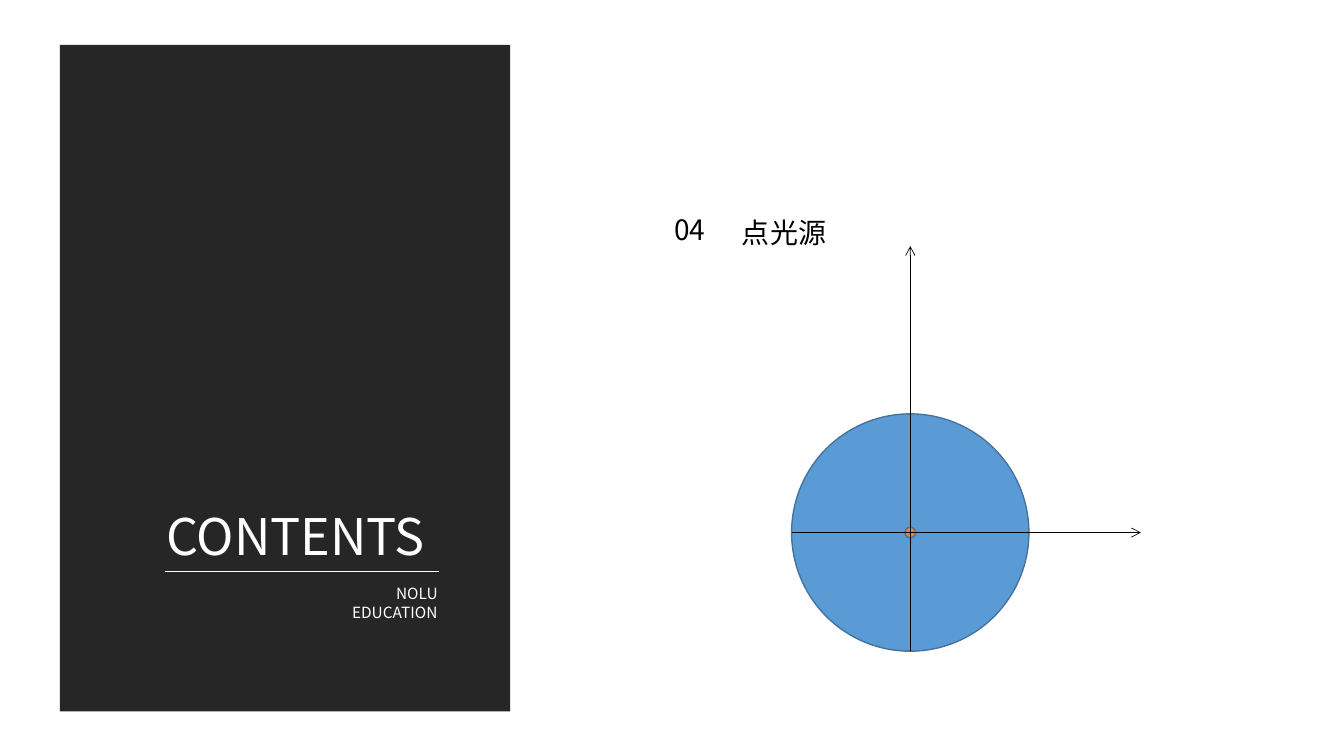
from dataclasses import dataclass

from lxml import etree
from pptx import Presentation
from pptx.dml.color import RGBColor
from pptx.enum.shapes import MSO_CONNECTOR, MSO_SHAPE
from pptx.enum.text import MSO_ANCHOR, PP_ALIGN
from pptx.oxml.ns import qn
from pptx.util import Cm, Pt

STRAIGHT = MSO_CONNECTOR.STRAIGHT
RECTANGLE, OVAL = MSO_SHAPE.RECTANGLE, MSO_SHAPE.OVAL
TOP, MIDDLE = MSO_ANCHOR.TOP, MSO_ANCHOR.MIDDLE
LEFT, RIGHT = PP_ALIGN.LEFT, PP_ALIGN.RIGHT


@dataclass(frozen=True)
class Theme:
    font: str = "Noto Sans CJK SC"
    panel: str = "262626"
    light: str = "FFFFFF"
    dark: str = "000000"
    sphere: str = "5B9BD5"
    source: str = "ED7D31"
    outline: str = "43739E"
    heading: float = 36
    topic: float = 20
    caption: float = 11


class SlideBuilder:
    def __init__(self, page, theme):
        self.page = page
        self.theme = theme

    def shape(self, kind, left, top, width, height, fill, outline=None):
        shape = self.page.shapes.add_shape(kind, Cm(left), Cm(top), Cm(width), Cm(height))
        shape.shadow.inherit = False
        shape.fill.solid()
        shape.fill.fore_color.rgb = RGBColor.from_string(fill)
        if outline:
            shape.line.color.rgb = RGBColor.from_string(outline)
            shape.line.width = Pt(1)
        else:
            shape.line.fill.background()

    def circle(self, center, diameter, fill):
        left, top = (value - diameter / 2 for value in center)
        self.shape(OVAL, left, top, diameter, diameter, fill, self.theme.outline)

    def text(self, words, left, top, width, height, size, color,
             align=LEFT, anchor=TOP, side_inset=0.25, spacing=1.0):
        box = self.page.shapes.add_textbox(Cm(left), Cm(top), Cm(width), Cm(height))
        frame = box.text_frame
        frame.word_wrap = True
        frame.vertical_anchor = anchor
        frame.margin_left = frame.margin_right = Cm(side_inset)
        frame.text = words
        para = frame.paragraphs[0]
        para.alignment = align
        para.line_spacing = spacing
        span = para.runs[0]
        span.font.size = Pt(size)
        span.font.name = self.theme.font
        span.font.color.rgb = RGBColor.from_string(color)
        east_asian = etree.SubElement(span.font._element, qn("a:ea"))
        east_asian.set("typeface", self.theme.font)

    def line(self, start, end, color, width, arrow=False):
        line = self.page.shapes.add_connector(STRAIGHT, *map(Cm, start + end))
        line.line.color.rgb = RGBColor.from_string(color)
        line.line.width = Pt(width)
        if arrow:
            etree.SubElement(line.line._get_or_add_ln(), qn("a:tailEnd")).set("type", "arrow")
        etree.SubElement(line._element.spPr, qn("a:effectLst"))


def main():
    deck = Presentation()
    deck.slide_width, deck.slide_height = Cm(33.87), Cm(19.05)
    theme = Theme()
    builder = SlideBuilder(deck.slides.add_slide(deck.slide_layouts[6]), theme)

    builder.shape(RECTANGLE, 1.51, 1.13, 11.35, 16.8, theme.panel)
    builder.text("CONTENTS", 3.94, 12.6, 7.32, 1.8, theme.heading, theme.light)
    builder.line((4.15, 14.39), (11.06, 14.39), theme.light, 0.75)
    builder.text("NOLU EDUCATION", 8.36, 14.6, 2.92, 1.2, theme.caption, theme.light, RIGHT)

    builder.text("04", 16.74, 5.03, 1.45, 1.6, theme.topic, theme.dark,
                 anchor=MIDDLE, spacing=0.9)
    builder.text("点光源", 18.19, 5.05, 11.07, 1.6, theme.topic, theme.dark,
                 anchor=MIDDLE, side_inset=0.51)

    center_x, center_y = center = (22.94, 13.42)
    diameter = 5.98
    radius = diameter / 2
    builder.circle(center, diameter, theme.sphere)
    builder.circle(center, 0.27, theme.source)
    builder.line((center_x - radius, center_y), (28.75, center_y), theme.dark, 0.5, arrow=True)
    builder.line((center_x, center_y + radius), (center_x, 6.2), theme.dark, 0.5, arrow=True)

    deck.save("out.pptx")


if __name__ == "__main__":
    main()
